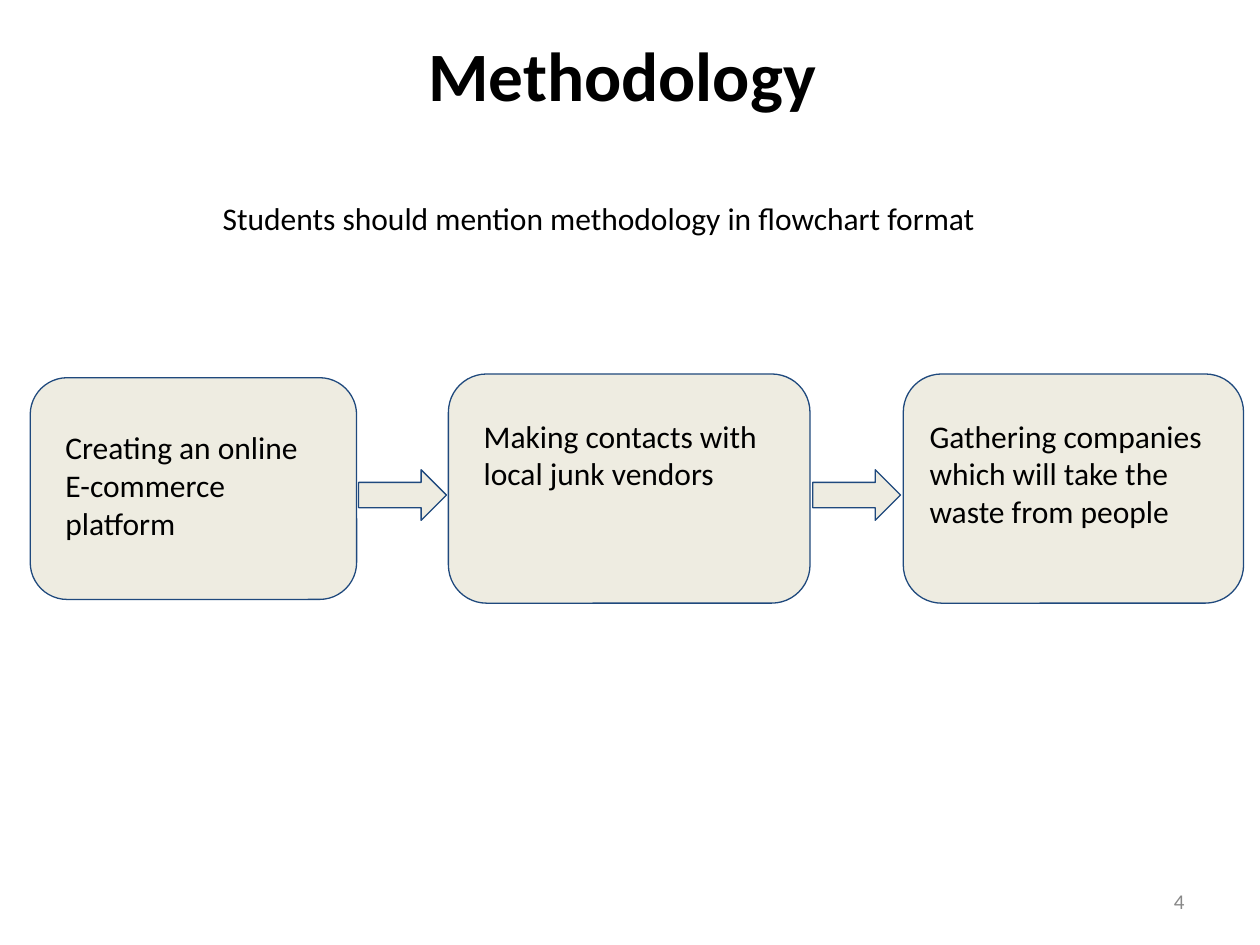
import pptx
import pptx.util
import pptx.dml.color
import pptx.enum.shapes
import pptx.enum.text
from pptx.util import Cm

BLACK = pptx.dml.color.RGBColor(0x00, 0x00, 0x00)
GREY = pptx.dml.color.RGBColor(0x88, 0x88, 0x88)
CREAM = pptx.dml.color.RGBColor(0xEE, 0xEC, 0xE1)
NAVY = pptx.dml.color.RGBColor(0x1F, 0x49, 0x7D)
ALIGN = pptx.enum.text.PP_ALIGN
ANCHOR = pptx.enum.text.MSO_ANCHOR
SHAPE = pptx.enum.shapes.MSO_SHAPE

# Content: box (left, width, height), label (left, top, width, height), in cm
STEPS = [
    ("Creating an online E-commerce platform",
     (0.61, 6.58, 4.47), (1.07, 8.38, 5.36, 2.82)),
    ("Making contacts with local junk vendors",
     (9.04, 7.29, 4.62), (9.5, 8.15, 6.4, 2.06)),
    ("Gathering companies which will take the waste from people",
     (18.21, 6.86, 4.62), (18.49, 8.15, 6.25, 2.82)),
]
BOX_MIDDLE = 9.85
ARROW_TOP, ARROW_WIDTH, ARROW_HEIGHT = 9.47, 1.77, 1.02
ARROW_GAP = 0.06

presentation = pptx.Presentation()
presentation.slide_width, presentation.slide_height = Cm(25.4), Cm(19.05)
slide = presentation.slides.add_slide(presentation.slide_layouts[6])


def add_text(text, left, top, width, height, size=18, color=BLACK, bold=False,
             align=ALIGN.LEFT, anchor=ANCHOR.TOP, inset=0.13, right=0.25):
    box = slide.shapes.add_textbox(Cm(left), Cm(top), Cm(width), Cm(height))
    frame = box.text_frame
    frame.word_wrap = True
    frame.vertical_anchor = anchor
    frame.margin_left, frame.margin_right = Cm(0.25), Cm(right)
    frame.margin_top = frame.margin_bottom = Cm(inset)
    paragraph = frame.paragraphs[0]
    paragraph.text = text
    paragraph.alignment = align
    font = paragraph.font
    font.name, font.size, font.bold = "Calibri", pptx.util.Pt(size), bold
    font.color.rgb = color


def add_flow_shape(kind, left, top, width, height):
    shape = slide.shapes.add_shape(kind, Cm(left), Cm(top), Cm(width), Cm(height))
    shape.shadow.inherit = False
    shape.fill.solid()
    shape.fill.fore_color.rgb = CREAM
    shape.line.color.rgb = NAVY
    shape.line.width = pptx.util.Pt(0.75)


# Title, slide number and instruction
add_text("Methodology", 1.27, 0.65, 22.86, 3.18, size=39.6, bold=True,
         align=ALIGN.CENTER, inset=0, right=0.56)
add_text("4", 18.21, 17.65, 5.92, 1.02, size=12, color=GREY,
         align=ALIGN.RIGHT, anchor=ANCHOR.MIDDLE)
add_text("Students should mention methodology in flowchart format",
         4.24, 3.89, 18.21, 1.02)

# Step boxes
for _, (left, width, height), _ in STEPS:
    add_flow_shape(SHAPE.ROUNDED_RECTANGLE, left, BOX_MIDDLE - height / 2, width, height)

# Arrows, each ending just before the next box
for (_, (left, width, _), _), (_, (next_left, _, _), _) in zip(STEPS, STEPS[1:]):
    arrow_left = (left + width + next_left - ARROW_WIDTH) / 2
    add_flow_shape(SHAPE.RIGHT_ARROW, arrow_left, ARROW_TOP, ARROW_WIDTH, ARROW_HEIGHT)

# Step labels
for text, _, label in STEPS:
    add_text(text, *label, inset=0.25)

presentation.save("out.pptx")
